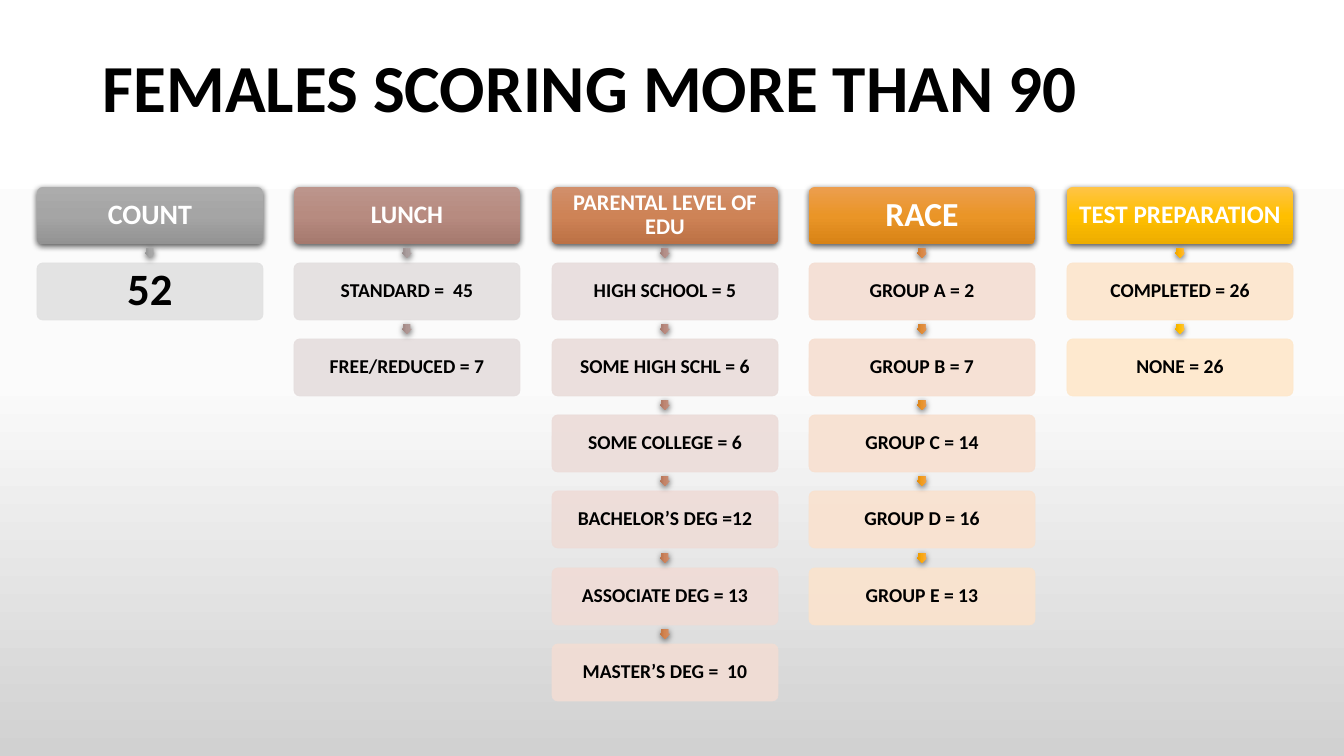
import colorsys
import pptx
import pptx.util
import pptx.dml.color
import pptx.enum.shapes
import pptx.enum.text
import pptx.oxml
import pptx.oxml.ns

PX = 914400 / 100.8
FONT = "Calibri"
HUES = {"white": "FFFFFF", "mist": "FBFBFB", "ash": "D1D1D1", "black": "000000"}
KIND = pptx.enum.shapes.MSO_SHAPE
MID = pptx.enum.text.MSO_ANCHOR.MIDDLE
CENTER = pptx.enum.text.PP_ALIGN.CENTER
RGB = pptx.dml.color.RGBColor
qn = pptx.oxml.ns.qn
NS = pptx.oxml.ns.nsdecls("a")


def blend(fill, root, tones):
    fill.gradient()
    fill.gradient_angle = 270
    stops = next(root.iter(qn("a:gsLst")))
    stops.clear()
    for place, tone in zip((0, 50000, 100000), tones):
        stops.append(pptx.oxml.parse_xml(
            f'<a:gs {NS} pos="{place}"><a:srgbClr val="{tone}"/></a:gs>'))


def gloss(shape, part):
    base = colorsys.hls_to_rgb(part / 8, 0.647 - 0.147 * part, min(1, 1.1 * part))
    light = [(0.94 * c ** 2.2 + 0.06) ** (1 / 2.2) for c in base]
    dark = [max(0, c - 0.07) for c in base]
    tones = [RGB(*(round(255 * c) for c in tone)) for tone in (light, base, dark)]
    blend(shape.fill, shape.element.spPr, tones)
    shape.line.fill.background()
    shape.shadow.inherit = False
    shape.element.spPr.find(qn("a:effectLst")).append(pptx.oxml.parse_xml(
        f'<a:outerShdw {NS} blurRad="57150" dist="19050" dir="5400000" algn="ctr" rotWithShape="0">'
        f'<a:srgbClr val="{HUES["black"]}"><a:alpha val="63000"/></a:srgbClr></a:outerShdw>'))


groups = [
    ("COUNT", 20, 32, ["52"]),
    ("LUNCH", 18, 14, ["STANDARD =  45", "FREE/REDUCED = 7"]),
    ("PARENTAL LEVEL OF EDU", 16, 14, [
        "HIGH SCHOOL = 5", "SOME HIGH SCHL = 6", "SOME COLLEGE = 6",
        "BACHELOR’S DEG =12", "ASSOCIATE DEG = 13", "MASTER’S DEG =  10"]),
    ("RACE", 24, 14, [
        "GROUP A = 2", "GROUP B = 7", "GROUP C = 14", "GROUP D = 16", "GROUP E = 13"]),
    ("TEST PREPARATION", 18, 14, ["COMPLETED = 26", "NONE = 26"]),
]

deck = pptx.Presentation()
deck.slide_width = round(1344 * PX)
deck.slide_height = round(756 * PX)
slide = deck.slides.add_slide(deck.slide_layouts[6])
blend(slide.background.fill, slide.element, [HUES["white"], HUES["mist"], HUES["ash"]])

title = slide.shapes.add_textbox(*(round(n * PX) for n in (93, 40, 1159, 102)))
frame = title.text_frame
frame.word_wrap = True
frame.vertical_anchor = MID
line = frame.paragraphs[0]
line.text = "FEMALES SCORING MORE THAN 90"
line.line_spacing = 0.9
line.font.name = FONT
line.font.size = pptx.util.Pt(48)
line.font.bold = True
line.font.color.rgb = RGB.from_string(HUES["black"])

last = sum(len(group[3]) for group in groups) - 1
count = 0
for col, (head, big, small, items) in enumerate(groups):
    left = 37 + col * 515 // 2
    for row, text in enumerate([head] + items):
        top = 187 + row * 381 // 5
        box = slide.shapes.add_shape(
            KIND.ROUNDED_RECTANGLE, *(round(n * PX) for n in (left, top, 226, 57)))
        box.adjustments[0] = 0.1
        if row == 0:
            gloss(box, col / (len(groups) - 1))
        else:
            part = count / last
            tint = RGB(*(round(255 * c) for c in colorsys.hls_to_rgb(
                part * 33 / 360, 0.882 + 0.016 * part, part)))
            box.shadow.inherit = False
            box.fill.solid()
            box.fill.fore_color.rgb = tint
            box.line.color.rgb = tint
            box.line.width = pptx.util.Pt(0.5)
            for paint in list(box.element.spPr.iter(qn("a:srgbClr"))):
                paint.append(pptx.oxml.parse_xml(f'<a:alpha {NS} val="90000"/>'))
            arrow = slide.shapes.add_shape(
                KIND.RIGHT_ARROW, *(round(n * PX) for n in (left + 108, top - 15, 10, 10)))
            arrow.rotation = 90
            arrow.adjustments[0] = 0.667
            gloss(arrow, part)
            count += 1
        frame = box.text_frame
        frame.word_wrap = True
        frame.vertical_anchor = MID
        frame.margin_left = frame.margin_right = round(4 * PX)
        frame.margin_top = frame.margin_bottom = round(4 * PX)
        line = frame.paragraphs[0]
        line.text = text
        line.alignment = CENTER
        line.line_spacing = 0.9
        line.font.name = FONT
        line.font.size = pptx.util.Pt(small if row else big)
        line.font.bold = True
        line.font.color.rgb = RGB.from_string(HUES["black" if row else "white"])

deck.save("out.pptx")
